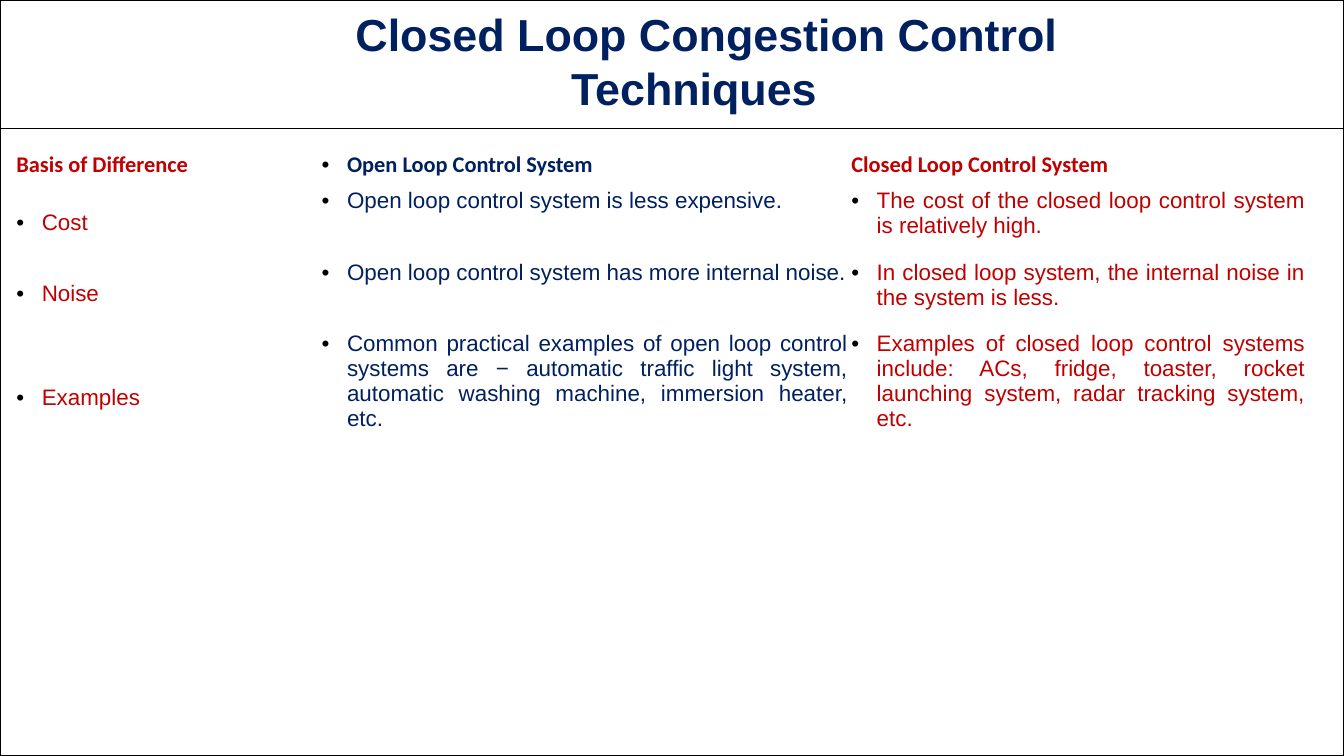
"""Build a slide comparing open loop and closed loop control systems."""
from lxml import etree
from pptx import Presentation
from pptx import util as u
from pptx.dml.color import RGBColor
from pptx.enum import shapes, text
from pptx.oxml import ns

NAVY = RGBColor(0x00, 0x20, 0x60)
RED = RGBColor(0xC0, 0x00, 0x00)
BLACK = RGBColor(0x00, 0x00, 0x00)

TITLE = "Closed Loop Congestion Control Techniques"
COLUMN_WIDTHS = (5.77, 10.01, 8.64)
ROW_HEIGHTS = (0.71, 1.35, 1.35, 2.59)
COLUMN_COLORS = (RED, NAVY, RED)
ROWS = (
    ("Basis of Difference", "Open Loop Control System", "Closed Loop Control System"),
    ("Cost", "Open loop control system is less expensive.",
     "The cost of the closed loop control system is relatively high."),
    ("Noise", "Open loop control system has more internal noise.",
     "In closed loop system, the internal noise in the system is less."),
    ("Examples",
     "Common practical examples of open loop control systems are − automatic traffic "
     "light system, automatic washing machine, immersion heater, etc.",
     "Examples of closed loop control systems include: ACs, fridge, toaster, rocket "
     "launching system, radar tracking system, etc."),
)


def apply_format(target, values):
    """Set each named attribute of the target."""
    for name, value in values.items():
        setattr(target, name, value)


def format_font(font, color, **values):
    """Set the colour and the other values of a font."""
    font.color.rgb = color
    apply_format(font, values)


def set_indent(paragraph, left, first_line):
    """Set the left margin and first line indent of a paragraph."""
    properties = paragraph._p.get_or_add_pPr()
    properties.set("marL", str(u.Cm(left)))
    properties.set("indent", str(u.Cm(first_line)))
    return properties


def add_bullet(paragraph):
    """Give a paragraph a black bullet with a hanging indent."""
    properties = set_indent(paragraph, 0.48, -0.48)
    color = etree.SubElement(properties, ns.qn("a:buClr"))
    etree.SubElement(color, ns.qn("a:srgbClr"), val=str(BLACK))
    etree.SubElement(properties, ns.qn("a:buFont"), typeface="Arial")
    etree.SubElement(properties, ns.qn("a:buChar"), char="•")


def add_frame(slide, left, top, width, height, divider):
    """Draw the outline of the page and the line under its title."""
    outline = slide.shapes.add_shape(
        shapes.MSO_SHAPE.RECTANGLE, u.Cm(left), u.Cm(top), u.Cm(width), u.Cm(height))
    outline.shadow.inherit = False
    outline.fill.background()
    rule = slide.shapes.add_connector(
        shapes.MSO_CONNECTOR.STRAIGHT, u.Cm(left), u.Cm(top + divider),
        u.Cm(left + width), u.Cm(top + divider))
    etree.SubElement(rule._element.spPr, ns.qn("a:effectLst"))
    for shape in (outline, rule):
        shape.line.color.rgb = BLACK
        shape.line.width = u.Pt(1)


def place_title(slide, left, top, width, height):
    """Move and format the title placeholder."""
    title = slide.shapes.title
    apply_format(title, {"left": u.Cm(left), "top": u.Cm(top),
                         "width": u.Cm(width), "height": u.Cm(height)})
    title.text_frame.text = TITLE
    apply_format(title.text_frame, {
        "word_wrap": True,
        "auto_size": text.MSO_AUTO_SIZE.SHAPE_TO_FIT_TEXT,
        "vertical_anchor": text.MSO_ANCHOR.TOP,
    })
    paragraph = title.text_frame.paragraphs[0]
    paragraph.alignment = text.PP_ALIGN.CENTER
    set_indent(paragraph, 0, 0.47)
    format_font(paragraph.runs[0].font, NAVY, name="Arial", size=u.Pt(24), bold=True)


def fill_cell(cell, content, row, column):
    """Write and format one cell of the comparison."""
    cell.fill.background()
    margins = ("margin_left", "margin_right", "margin_top", "margin_bottom")
    apply_format(cell, dict.fromkeys(margins, u.Cm(0.03)))
    is_header = row == 0
    is_label = column == 0 and not is_header
    cell.vertical_anchor = text.MSO_ANCHOR.MIDDLE if is_label else text.MSO_ANCHOR.TOP
    cell.text = content
    paragraph = cell.text_frame.paragraphs[0]
    paragraph.alignment = text.PP_ALIGN.JUSTIFY
    if not is_header or column == 1:
        add_bullet(paragraph)
    format_font(paragraph.runs[0].font, COLUMN_COLORS[column], size=u.Pt(12),
                name="Calibri" if is_header else "Arial", bold=is_header)


def add_comparison(slide, left, top):
    """Add the table that compares the two systems."""
    table = slide.shapes.add_table(
        len(ROWS), len(COLUMN_WIDTHS), u.Cm(left), u.Cm(top),
        u.Cm(sum(COLUMN_WIDTHS)), u.Cm(sum(ROW_HEIGHTS))).table
    apply_format(table, {"first_row": False, "horz_banding": False})
    for column, width in zip(table.columns, COLUMN_WIDTHS):
        column.width = u.Cm(width)
    for row, height in zip(table.rows, ROW_HEIGHTS):
        row.height = u.Cm(height)
    for row, contents in enumerate(ROWS):
        for column, content in enumerate(contents):
            fill_cell(table.cell(row, column), content, row, column)


def main():
    """Build and save the presentation."""
    presentation = Presentation()
    apply_format(presentation, {"slide_width": u.Cm(25.4), "slide_height": u.Cm(14.29)})
    slide = presentation.slides.add_slide(presentation.slide_layouts.get_by_name("Title Only"))
    add_frame(slide, 0, 0, 25.4, 14.29, divider=2.43)
    place_title(slide, 4.24, 0, 17.75, 2.31)
    add_comparison(slide, 0.28, 2.82)
    presentation.save("out.pptx")


if __name__ == "__main__":
    main()
